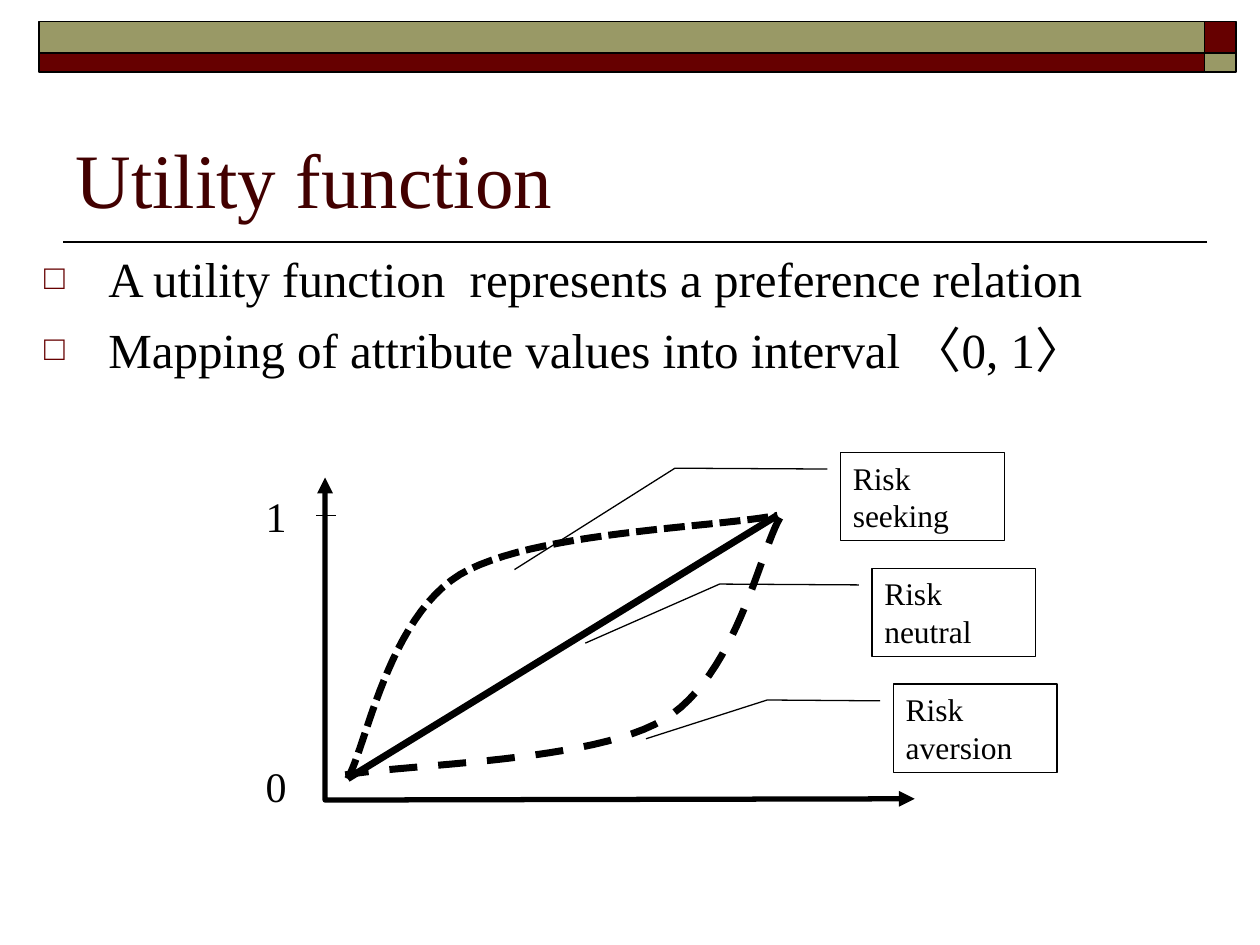
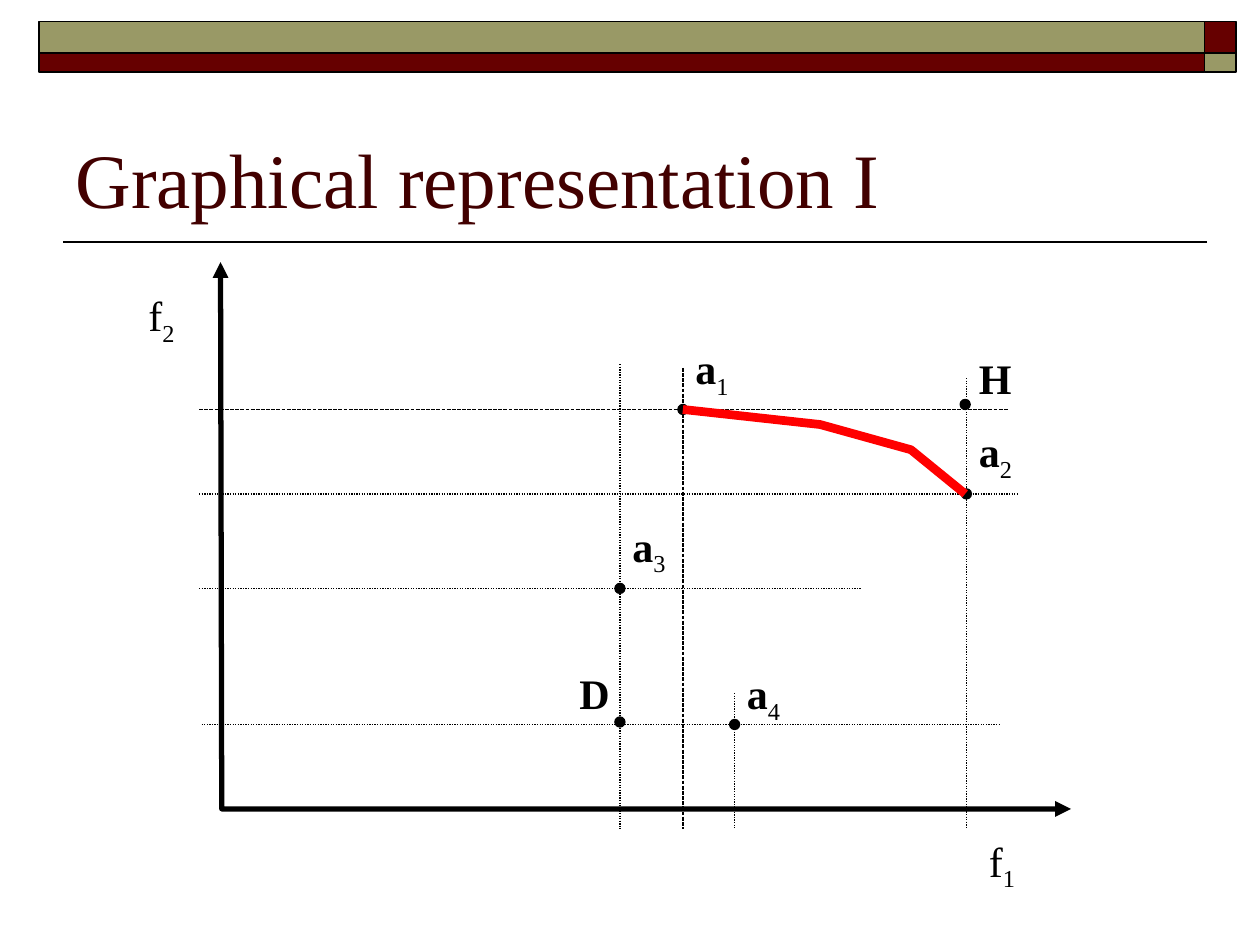
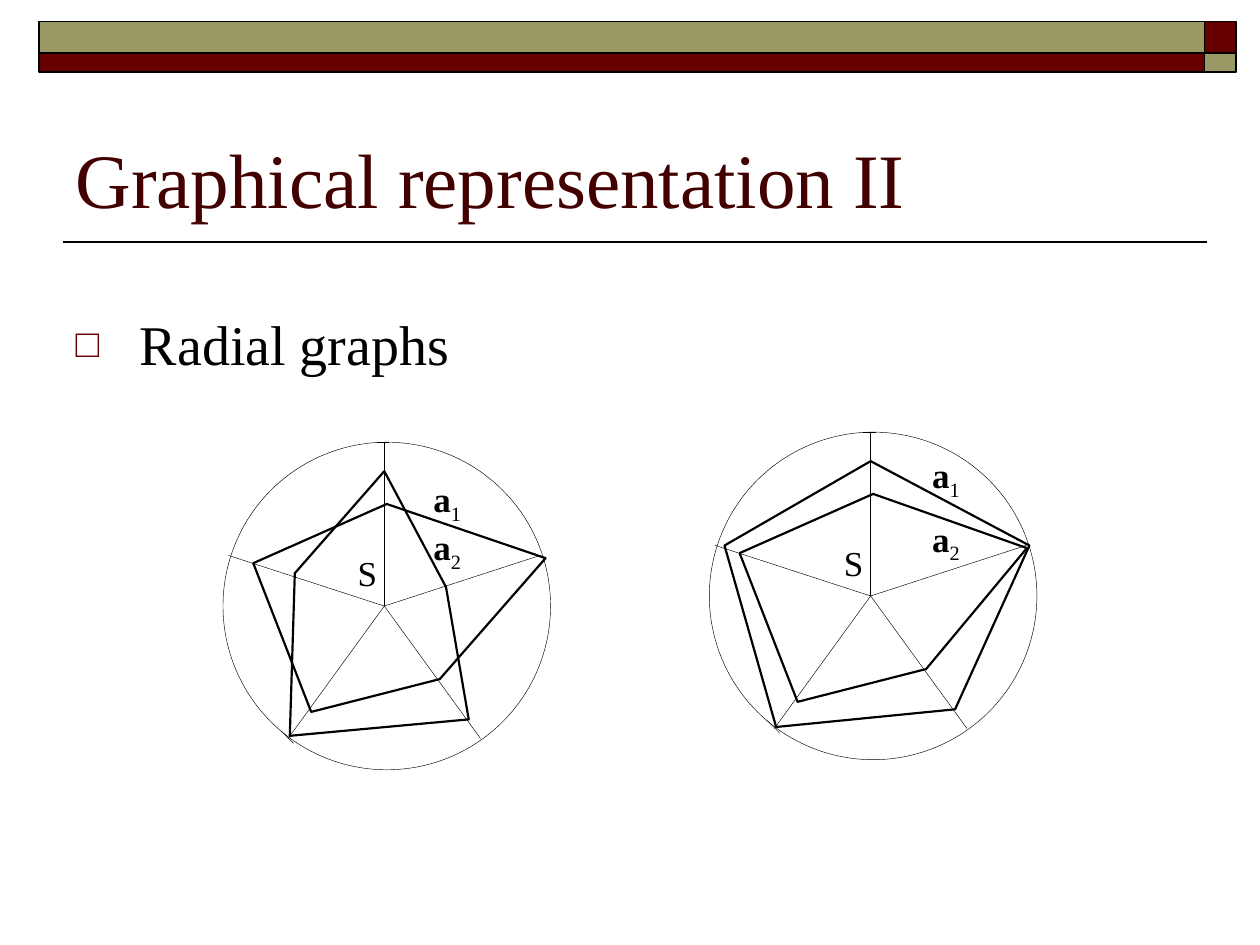
from math import cos, radians, sin

from lxml import etree
from pptx import Presentation
from pptx.dml.color import RGBColor
from pptx.enum.dml import MSO_LINE
from pptx.enum.shapes import MSO_CONNECTOR, MSO_SHAPE
from pptx.enum.text import MSO_ANCHOR, MSO_AUTO_SIZE, PP_ALIGN
from pptx.oxml.ns import qn
from pptx.util import Inches, Pt

COLORS = {
    "maroon": "660000",
    "olive": "999966",
    "title": "420000",
    "ink": "000000",
    "front": "FF0000",
}
FONT = "Times New Roman"
BRACKET_FONT = "Arial"
STRAIGHT = MSO_CONNECTOR.STRAIGHT
RECTANGLE = MSO_SHAPE.RECTANGLE
ELLIPSE = MSO_SHAPE.OVAL
CALLOUT = MSO_SHAPE.LINE_CALLOUT_2
DOTTED = MSO_LINE.ROUND_DOT
FINE_DASH = MSO_LINE.SQUARE_DOT
SYSTEM_DASH = "sysDash"
DASHED = MSO_LINE.DASH
TOP, BOTTOM = MSO_ANCHOR.TOP, MSO_ANCHOR.BOTTOM
LEFT, CENTER = PP_ALIGN.LEFT, PP_ALIGN.CENTER
NO_AUTOFIT = MSO_AUTO_SIZE.NONE
TITLE_ONLY, TITLE_AND_BODY = 5, 1


def inches(*lengths):
    return [Inches(length) for length in lengths]


def color(name):
    return RGBColor.from_string(COLORS[name])


def bezier(start, control_1, control_2, end, steps=24):
    points = []
    for step in range(1, steps + 1):
        t = step / steps
        weights = (1 - t) ** 3, 3 * t * (1 - t) ** 2, 3 * t * t * (1 - t), t ** 3
        corners = start, control_1, control_2, end
        points.append(tuple(
            sum(weight * corner[axis] for weight, corner in zip(weights, corners))
            for axis in (0, 1)
        ))
    return points


class Deck:
    def __init__(self):
        self.presentation = Presentation()
        self.presentation.slide_width, self.presentation.slide_height = inches(10, 7.5)
        self.slide = None

    def add_slide(self, title, layout=TITLE_ONLY, title_width=9):
        layouts = self.presentation.slide_layouts
        self.slide = self.presentation.slides.add_slide(layouts[layout])
        self.line((9.58, 1.92), (0.5, 1.92), 1)
        self.shape(RECTANGLE, (9.56, 0.17, 0.25, 0.25), "maroon", 1)
        self.shape(RECTANGLE, (0.31, 0.17, 9.25, 0.25), "olive", 1)
        self.shape(RECTANGLE, (0.31, 0.42, 9.25, 0.15), "maroon", 1)
        self.shape(RECTANGLE, (9.56, 0.42, 0.25, 0.15), "olive", 1)
        heading = self.slide.shapes.title
        self.place(heading, (0.5, 0.58, title_width, 1.25))
        heading.text_frame.text = title
        self.format_frame(heading.text_frame, BOTTOM)
        self.format_paragraph(heading.text_frame.paragraphs[0], 44, ink="title")

    def place(self, shape, box):
        shape.left, shape.top, shape.width, shape.height = inches(*box)

    def format_frame(self, frame, anchor=TOP):
        frame.word_wrap = True
        frame.auto_size = NO_AUTOFIT
        frame.vertical_anchor = anchor

    def format_paragraph(self, paragraph, size, ink="ink", align=LEFT, space=0):
        paragraph.alignment = align
        paragraph.space_before = Pt(space)
        font = paragraph.font
        font.name, font.size = FONT, Pt(size)
        font.color.rgb = color(ink)

    def format_line(self, line, width, ink="ink", dash=None):
        line.width = Pt(width)
        line.color.rgb = color(ink)
        if dash:
            line.dash_style = dash

    def bullets(self, box, items, size, space):
        body = self.slide.placeholders[1]
        self.place(body, box)
        frame = body.text_frame
        self.format_frame(frame)
        for index, runs in enumerate(items):
            paragraph = frame.add_paragraph() if index else frame.paragraphs[0]
            for text, font_name in runs:
                run = paragraph.add_run()
                run.text = text
                run.font.name = font_name
            self.format_paragraph(paragraph, size, space=space)
            properties = paragraph._p.get_or_add_pPr()
            properties.set("marL", str(Inches(0.51)))
            properties.set("indent", str(-Inches(0.51)))
            bullet_color = etree.SubElement(properties, qn("a:buClr"))
            etree.SubElement(bullet_color, qn("a:srgbClr"), val=COLORS["maroon"])
            etree.SubElement(properties, qn("a:buSzPct"), val="70000")
            etree.SubElement(properties, qn("a:buChar"), char="□")
            default_font = properties.find(qn("a:defRPr"))
            if default_font is not None:
                properties.append(default_font)

    def shape(self, kind, box, fill=None, line_width=0.75):
        shape = self.slide.shapes.add_shape(kind, *inches(*box))
        shape.shadow.inherit = False
        if fill:
            shape.fill.solid()
            shape.fill.fore_color.rgb = color(fill)
        else:
            shape.fill.background()
        self.format_line(shape.line, line_width)
        return shape

    def line(self, start, end, width=0.75, dash=None):
        connector = self.slide.shapes.add_connector(STRAIGHT, *inches(*start, *end))
        self.format_line(connector.line, width, dash=dash)
        etree.SubElement(connector._element.spPr, qn("a:effectLst"))

    def outline(self, points, width, ink="ink", dash=None, close=False, arrows=False):
        start, *rest = [inches(*point) for point in points]
        builder = self.slide.shapes.build_freeform(*start)
        builder.add_line_segments(rest, close=close)
        shape = builder.convert_to_shape()
        shape.shadow.inherit = False
        shape.fill.background()
        self.format_line(shape.line, width, ink, dash)
        if arrows:
            for end in ("a:headEnd", "a:tailEnd"):
                etree.SubElement(shape.line._get_or_add_ln(), qn(end), type="triangle")

    def label(self, box, texts, size=24, bold=False, align=LEFT, space=0):
        text_box = self.slide.shapes.add_textbox(*inches(*box))
        frame = text_box.text_frame
        self.format_frame(frame)
        for index, (text, subscript) in enumerate(texts):
            paragraph = frame.add_paragraph() if index else frame.paragraphs[0]
            self.format_paragraph(paragraph, size, align=align, space=space if index else 0)
            run = paragraph.add_run()
            run.text = text
            run.font.bold = bold
            if subscript:
                run = paragraph.add_run()
                run.text = subscript
                run.font._element.set("baseline", "-25000")

    def callout(self, left, top, text, adjustments):
        shape = self.shape(CALLOUT, (left, top, 1.3, 0.7))
        for index, value in enumerate(adjustments):
            shape.adjustments[index] = value
        shape.text_frame.text = text
        self.format_frame(shape.text_frame)
        self.format_paragraph(shape.text_frame.paragraphs[0], 18)

    def dot(self, x, y):
        self.shape(ELLIPSE, (x - 0.04, y - 0.04, 0.08, 0.08), "ink")

    def radial_graph(self, center_x, center_y, polygons, label_offset, label_space):
        def at(x, y):
            return center_x + x, center_y + y

        radius = 1.3
        for spoke in range(5):
            angle = radians(72 * spoke)
            self.line(at(0, 0), at(radius * sin(angle), -radius * cos(angle)), 0.25)
        self.line(at(-0.06, -radius), at(0.04, -radius), 0.25)
        self.line(at(-0.72, 1.09), at(-0.82, 0.99), 0.25)
        self.shape(ELLIPSE, (*at(0.02 - radius, -radius), 2 * radius, 2 * radius),
                   line_width=0.25)
        for polygon in polygons:
            self.outline([at(*point) for point in polygon], 1.25, close=True)
        self.label((*at(-0.49, -0.48), 0.71, 0.47), [("S", "")], 20, align=CENTER)
        self.label((*at(*label_offset), 0.45, 1.11), [("a", "1"), ("a", "2")], 20,
                   bold=True, space=label_space)


def utility_function(deck):
    deck.add_slide("Utility function", TITLE_AND_BODY)
    deck.bullets((0.25, 1.92, 9.33, 1.36), [
        [("A utility function  represents a preference relation", FONT)],
        [("Mapping of attribute values into interval ", FONT), ("〈", BRACKET_FONT),
         ("0, 1", FONT), ("〉", BRACKET_FONT)],
    ], 28, 7)
    deck.outline([(2.58, 3.79), (2.58, 6.35), (7.26, 6.34)], 3, arrows=True)
    deck.label((2.01, 3.84, 0.58, 2.63), [("1", ""), ("0", "")], space=126)
    deck.line((2.51, 4.09), (2.67, 4.09))
    deck.line((2.76, 6.18), (6.17, 4.09), 4)
    seeking = [(2.76, 6.18)]
    seeking += bezier(seeking[-1], (2.91, 5.91), (3.08, 4.91), (3.65, 4.56))
    seeking += bezier(seeking[-1], (4.22, 4.22), (5.65, 4.19), (6.17, 4.09))
    deck.outline(seeking, 4, dash=FINE_DASH)
    aversion = [(6.19, 4.11)]
    aversion += bezier(aversion[-1], (6.03, 4.38), (5.84, 5.37), (5.27, 5.71))
    aversion += bezier(aversion[-1], (4.7, 6.05), (3.27, 6.06), (2.74, 6.15))
    deck.outline(aversion, 4, dash=DASHED)
    for left, top, text, elbow_x, end_y, end_x in (
        (6.67, 3.59, "Risk seeking", -1.01, 1.33, -1.99),
        (7.09, 5.43, "Risk aversion", -0.77, 0.62, -1.51),
        (6.92, 4.51, "Risk neutral", -0.93, 0.85, -1.75),
    ):
        deck.callout(left, top, text, (0.19, -0.08, 0.18, elbow_x, end_y, end_x))


def graphical_representation(deck):
    deck.add_slide("Graphical representation I", title_width=9.38)
    deck.outline([(1.75, 2.08), (1.76, 6.42), (8.5, 6.42)], 3, arrows=True)
    deck.label((1.08, 2.25, 0.5, 0.56), [("f", "2")])
    deck.label((7.75, 6.58, 0.5, 0.56), [("f", "1")])
    for number, x, y, guide_left, guide_right, guide_top, label_top, dash in (
        ("1", 5.42, 3.25, 1.58, 8, 2.92, 2.67, FINE_DASH),
        ("2", 7.67, 3.92, 1.58, 8.08, 3, 3.33, None),
        ("3", 4.92, 4.67, 1.58, 6.83, 2.89, 4.08, None),
        ("4", 5.83, 5.75, 1.6, 7.94, 5.5, 5.25, None),
    ):
        for start, end in (((guide_left, y), (guide_right, y)),
                           ((x, guide_top), (x, 6.58))):
            deck.line(start, end, 0.75, dash or DOTTED)
        deck.label((x, label_top, 0.5, 0.56), [("a", number)], bold=True)
        deck.dot(x, y)
    deck.label((7.67, 2.75, 0.5, 0.5), [("H", "")], bold=True)
    deck.dot(7.66, 3.21)
    deck.label((4.5, 5.25, 0.5, 0.5), [("D", "")], bold=True)
    deck.dot(4.92, 5.73)
    deck.outline([(5.42, 3.25), (6.51, 3.37), (7.23, 3.57), (7.66, 3.92)], 5, "front")


def radial_graphs(deck):
    deck.add_slide("Graphical representation II", TITLE_AND_BODY)
    deck.bullets((0.5, 2.41, 9, 2.13), [[("Radial graphs", FONT)]], 32, 8)
    deck.radial_graph(3.05, 4.81, [
        [(-0.58, 0.84), (0.44, 0.58), (1.28, -0.38), (0.02, -0.81), (-1.04, -0.34)],
        [(-0.75, 1.03), (-0.71, -0.26), (0, -1.07), (0.49, -0.15), (0.67, 0.9)],
    ], (0.29, -1.07), 0)
    deck.radial_graph(6.91, 4.73, [
        [(-0.58, 0.84), (0.44, 0.58), (1.24, -0.38), (0.02, -0.81), (-1.04, -0.34)],
        [(-0.75, 1.04), (-1.16, -0.4), (0, -1.07), (1.26, -0.4), (0.67, 0.9)],
    ], (0.39, -1.18), 9)


def main():
    deck = Deck()
    utility_function(deck)
    graphical_representation(deck)
    radial_graphs(deck)
    deck.presentation.save("out.pptx")


if __name__ == "__main__":
    main()
